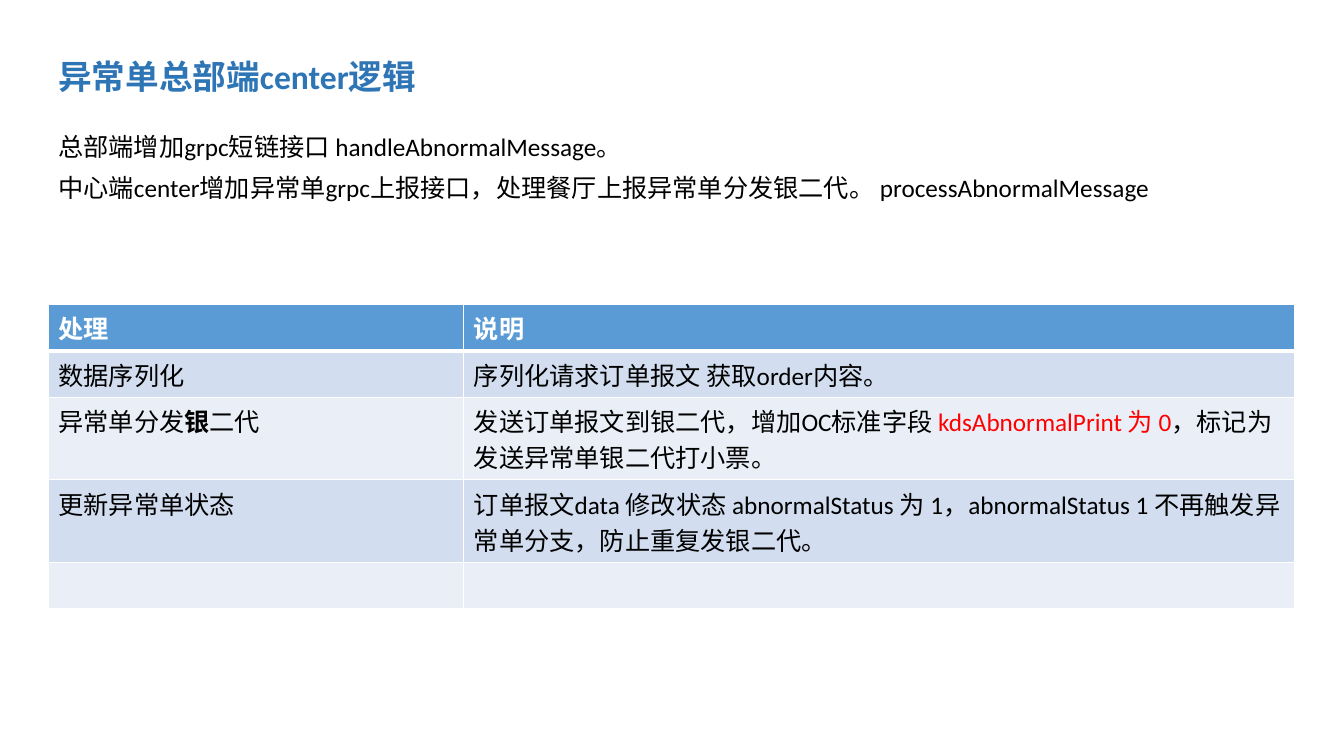
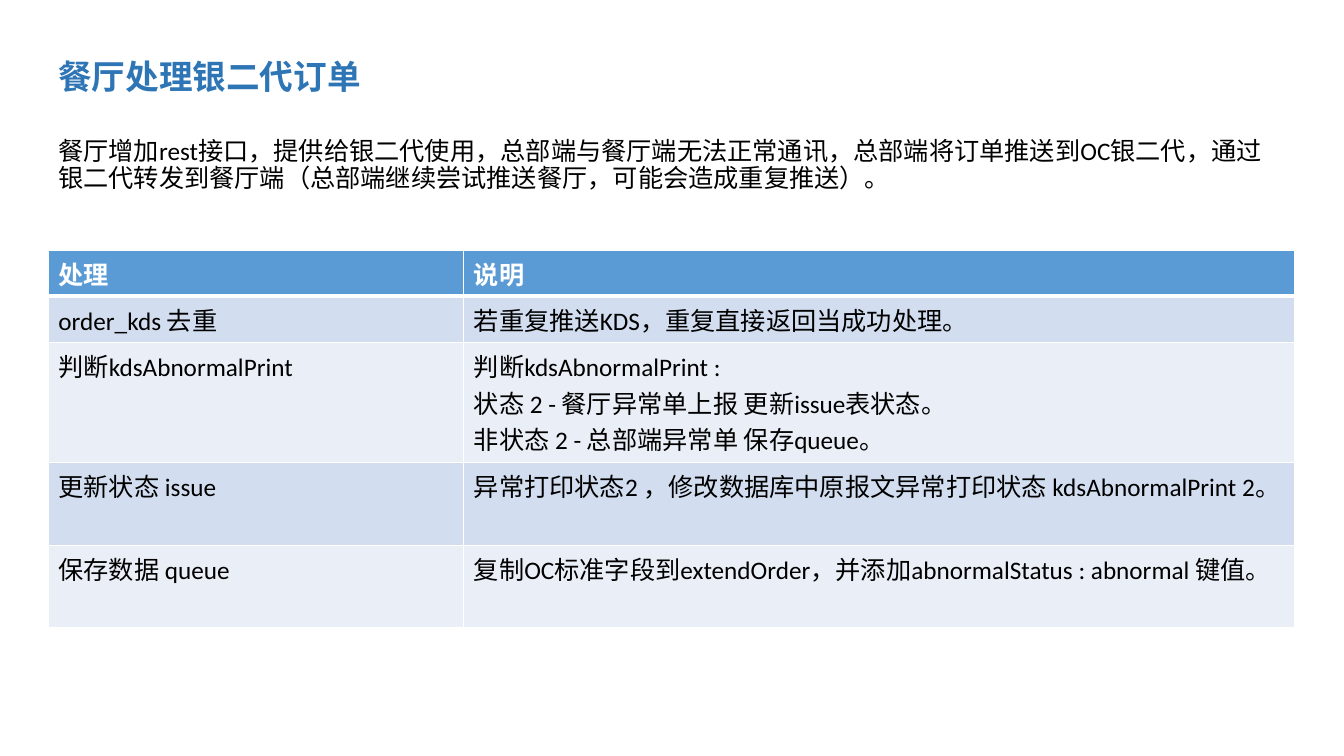
from lxml.etree import SubElement
from pptx import Presentation
from pptx.dml.color import RGBColor
from pptx.oxml.ns import qn
from pptx.util import Inches, Pt

COLORS = {
    "title": "2E75B6", "text": "000000", "alert": "FF0000", "white": "FFFFFF",
    "header": "5B9BD5", "odd": "D2DEEF", "even": "EAEFF7",
}
FONT = "Calibri"
LEFT = 0.48
COLUMN_WIDTHS = (4.12, 8.24)
HEADINGS = ("处理", "说明")
ROW_HEIGHTS = {1: 0.46, 2: 0.82, 3: 1.19}

SLIDES = [
    {
        "title": "异常单总部端center逻辑",
        "intro": [
            "总部端增加grpc短链接口 handleAbnormalMessage。",
            "中心端center增加异常单grpc上报接口，处理餐厅上报异常单分发银二代。 processAbnormalMessage",
        ],
        "intro_box": (1.29, 12.36, 1.5),
        "table_top": 3.02,
        "steps": [
            (1, ["数据序列化"], ["序列化请求订单报文 获取order内容。"]),
            (2, [["异常单分发", ("银", {"bold": True}), "二代"]],
             [["发送订单报文到银二代，增加OC标准字段 ",
               ("kdsAbnormalPrint 为 0", {"color": "alert"}),
               "，标记为发送异常单银二代打小票。"]]),
            (2, ["更新异常单状态"],
             ["订单报文data 修改状态 abnormalStatus 为 1，abnormalStatus 1 不再触发异常单分支，防止重复发银二代。"]),
            (1, [], []),
        ],
    },
    {
        "title": "餐厅处理银二代订单",
        "intro": [
            "餐厅增加rest接口，提供给银二代使用，总部端与餐厅端无法正常通讯，总部端将订单推送到OC银二代，"
            "通过银二代转发到餐厅端（总部端继续尝试推送餐厅，可能会造成重复推送）。",
        ],
        "intro_box": (1.33, 12.24, 0.9),
        "table_top": 2.48,
        "steps": [
            (1, ["order_kds 去重"], ["若重复推送KDS，重复直接返回当成功处理。"]),
            (3, ["判断kdsAbnormalPrint"], [
                "判断kdsAbnormalPrint :",
                "状态 2 - 餐厅异常单上报 更新issue表状态。",
                "非状态 2 - 总部端异常单 保存queue。",
            ]),
            (2, ["更新状态 issue"],
             ["异常打印状态2 ，修改数据库中原报文异常打印状态 kdsAbnormalPrint 2。"]),
            (2, ["保存数据 queue"],
             ["复制OC标准字段到extendOrder，并添加abnormalStatus : abnormal 键值。"]),
        ],
    },
]


def write(frame, paragraphs, size=18, color="text", bold=False, spacing=None, before=0):
    frame.word_wrap = True
    for index, pieces in enumerate(paragraphs):
        paragraph = frame.add_paragraph() if index else frame.paragraphs[0]
        if spacing:
            paragraph.line_spacing = spacing
        if index and before:
            paragraph.space_before = Pt(before)
        for piece in [pieces] if isinstance(pieces, str) else pieces:
            words, changes = (piece, {}) if isinstance(piece, str) else piece
            look = {"color": color, "bold": bold} | changes
            run = paragraph.add_run()
            run.text = words
            run.font.name = FONT
            run.font.size = Pt(size)
            run.font.bold = look["bold"]
            run.font.color.rgb = RGBColor.from_string(COLORS[look["color"]])


def add_text(slide, box, paragraphs, **look):
    area = slide.shapes.add_textbox(*map(Inches, (LEFT, *box)))
    write(area.text_frame, paragraphs, spacing=0.9, before=10, **look)


def set_borders(cell, row):
    properties = cell._tc.get_or_add_tcPr()
    widths = {"lnL": 1, "lnR": 1, "lnT": 3 if row == 1 else 1, "lnB": 3 if row == 0 else 1}
    for side, width in widths.items():
        line = SubElement(properties, qn(f"a:{side}"), w=str(Pt(width)))
        fill = SubElement(line, qn("a:solidFill"))
        SubElement(fill, qn("a:srgbClr"), val=COLORS["white"])


def add_steps(slide, top, steps):
    rows = [(1, *([heading] for heading in HEADINGS)), *steps]
    heights = [ROW_HEIGHTS[lines] for lines, *_ in rows]
    box = (LEFT, top, sum(COLUMN_WIDTHS), sum(heights))
    table = slide.shapes.add_table(len(rows), len(HEADINGS), *map(Inches, box)).table
    for column, width in zip(table.columns, COLUMN_WIDTHS):
        column.width = Inches(width)
    for row, (_, *texts) in enumerate(rows):
        table.rows[row].height = Inches(heights[row])
        band = "header" if row == 0 else "odd" if row % 2 else "even"
        look = {"color": "white", "bold": True} if row == 0 else {}
        for column, paragraphs in enumerate(texts):
            cell = table.cell(row, column)
            set_borders(cell, row)
            cell.fill.solid()
            cell.fill.fore_color.rgb = RGBColor.from_string(COLORS[band])
            write(cell.text_frame, paragraphs, **look)


def main():
    deck = Presentation()
    deck.slide_width, deck.slide_height = Inches(13.33), Inches(7.5)
    for content in SLIDES:
        slide = deck.slides.add_slide(deck.slide_layouts[6])
        add_text(slide, (0.55, 4.98, 0.48), [content["title"]],
                 size=24, color="title", bold=True)
        add_text(slide, content["intro_box"], content["intro"])
        add_steps(slide, content["table_top"], content["steps"])
    deck.save("out.pptx")


if __name__ == "__main__":
    main()
